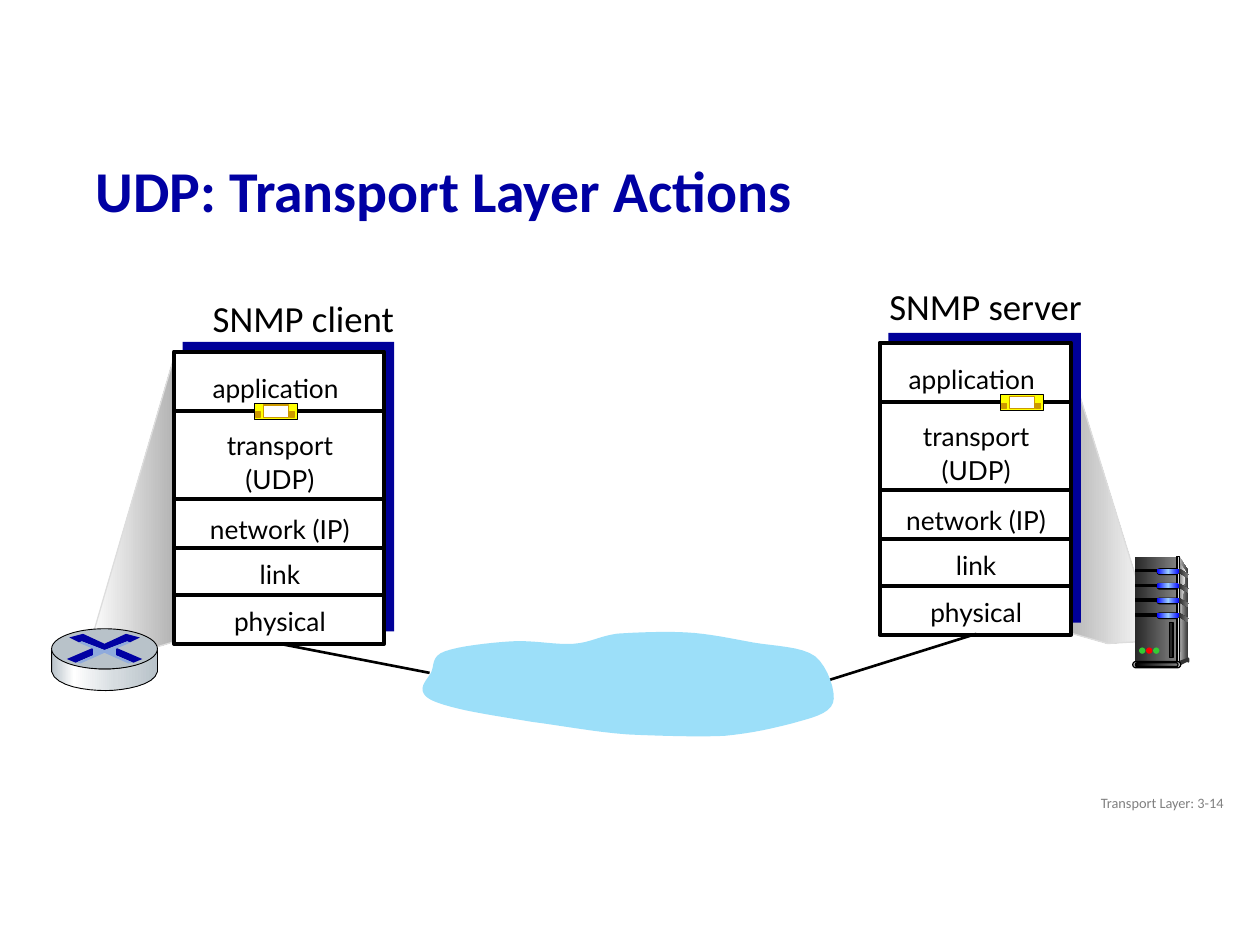
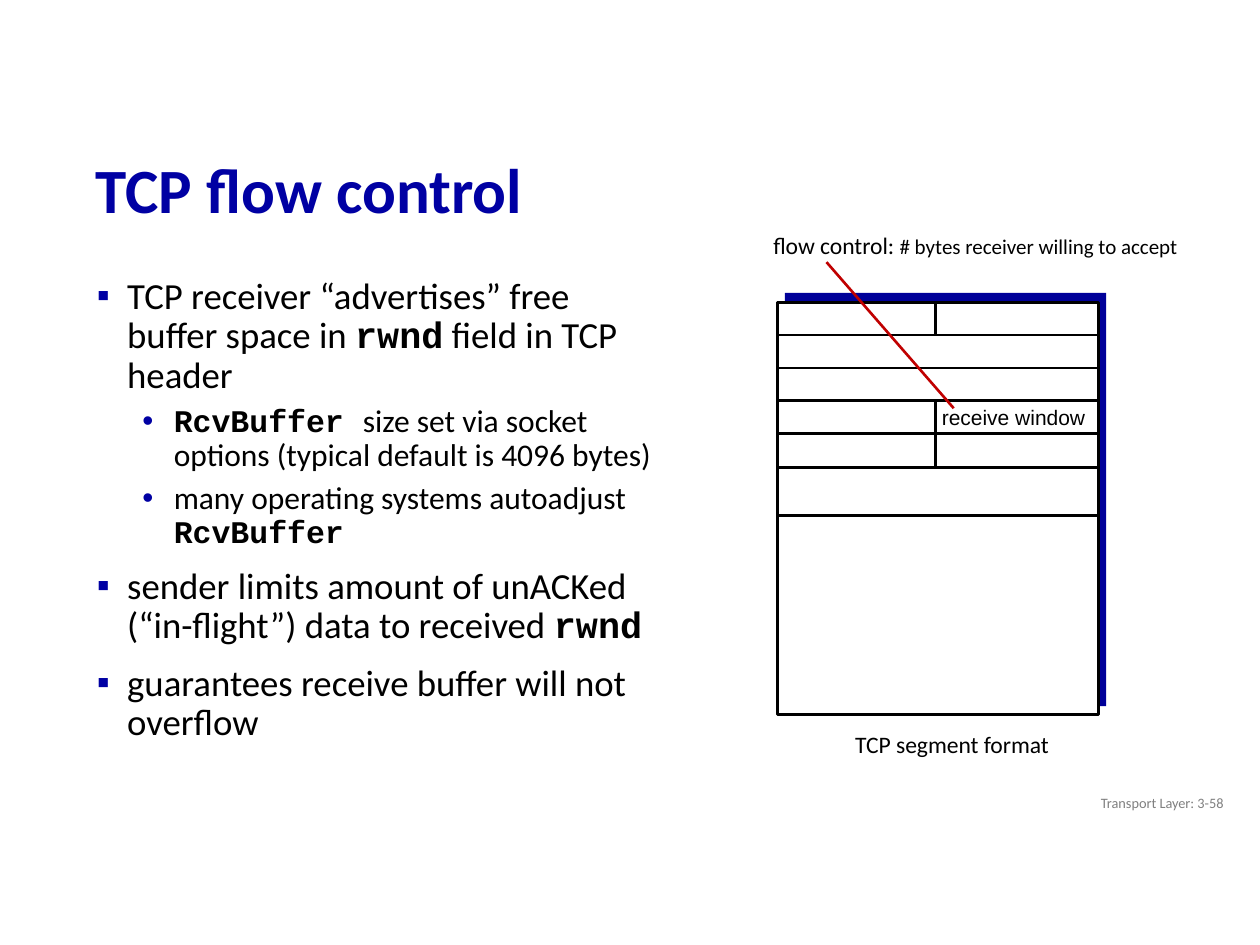
import dataclasses

import pptx
import pptx.dml.color
import pptx.enum.shapes
import pptx.enum.text
import pptx.oxml.ns
import pptx.util
from lxml import etree

Pt = pptx.util.Pt
Kind = pptx.enum.shapes.MSO_SHAPE
Align = pptx.enum.text.PP_ALIGN
Anchor = pptx.enum.text.MSO_ANCHOR
qn = pptx.oxml.ns.qn


def face(name, size, bold=False):
    return dict(name=name, size=Pt(size), bold=bold)


@dataclasses.dataclass(frozen=True)
class Theme:
    # Colours
    black: str = "000000"
    white: str = "FFFFFF"
    title: str = "0000A3"
    shade: str = "000099"
    foot: str = "808080"
    cloud: str = "9CDFF9"
    steel: str = "B8C2C9"
    cross: str = "8FAADC"
    edge: str = "DDDDDD"
    beam: str = "B2B2B2"
    dark: str = "292929"
    coal: str = "333333"
    grey: str = "808080"
    green: str = "33CC33"
    red: str = "FF0000"
    point: str = "C00000"
    yellow: str = "FFFF00"
    gold: str = "CC9900"
    blue: tuple = ((0, "0000FF"), (50, "99CCFF"), (100, "0000FF"))
    # Type
    label = face("Calibri", 21)
    layer = face("Lato", 15)
    body = face("Calibri", 21)
    code = face("Courier New", 21, True)
    sub = face("Calibri", 18)
    subcode = face("Courier New", 18, True)
    note = face("Calibri", 13.5)
    small = face("Calibri", 12)
    field = face("Arial", 12)
    footer = face("Calibri", 8.2)


T = Theme()
TITLE_BOX = (47.5, 84.2, 655, 52.6)
FOOT_BOX = (544.3, 447.8, 162, 21.6)

# Cloud outline: a pair is a line, six numbers are a curve
CLOUD = [
    (113, 1.4), (102.2, 2.9, 97.9, 6.5, 87.8, 7.2), (77.8, 7.9, 64.8, 5, 52.6, 5.8),
    (40.3, 6.5, 22.3, 8.6, 14.4, 11.5), (6.5, 14.4, 8.6, 19.4, 6.5, 23.8),
    (4.3, 27.4, 0, 31.7, 2.2, 35.3), (3.6, 38.2, 7.2, 40.3, 18, 43.2),
    (28.1, 46.1, 47.5, 49, 64.1, 51.8), (81.4, 54, 100.1, 57.6, 118.8, 59),
    (136.8, 59.8, 158.4, 60.5, 174.2, 59.8), (190.1, 58.3, 202.3, 55.4, 213.1, 52.6),
    (223.2, 49.7, 234, 47.5, 236.2, 41), (238.3, 35.3, 233.3, 20.2, 226.1, 14.4),
    (218.2, 8.6, 203, 8.6, 190.8, 6.5), (178.6, 4.3, 165.6, 1.4, 152.6, 0.7),
    (139.7, 0, 123.8, 0.7, 113, 1.4),
]


# Formatting
def apply(item, form):
    for key, value in form.items():
        setattr(item, key, value)


def rgb(code):
    return pptx.dml.color.RGBColor.from_string(code)


def paint(shape, fill, line=None, width=0.75):
    """Fill with one colour, or with (percent, colour) stops from left to right."""
    shape.shadow.inherit = False
    if isinstance(fill, str):
        shape.fill.solid()
        shape.fill.fore_color.rgb = rgb(fill)
    else:
        shape.fill.gradient()
        shape.fill.gradient_angle = 0
        stops = shape.element.spPr.find(".//" + qn("a:gsLst"))
        for old in list(stops):
            stops.remove(old)
        for place, code in fill:
            stop = etree.SubElement(stops, qn("a:gs"), pos=str(place * 1000))
            etree.SubElement(stop, qn("a:srgbClr"), val=code)
    if line:
        shape.line.color.rgb = rgb(line)
        shape.line.width = Pt(width)
    else:
        shape.line.fill.background()


def fade(first, last):
    return ((0, first), (100, last))


# Drawing tools
def block(slide, kind, box, fill, line=None, width=0.75):
    shape = slide.shapes.add_shape(kind, *map(Pt, box))
    if kind == Kind.ROUNDED_RECTANGLE:
        shape.adjustments[0] = 0.5
    paint(shape, fill, line, width)


def outline(slide, start, steps, fill, line=None, width=0.75):
    left, top = start
    dots = [steps[0]]
    for step in steps[1:]:
        if len(step) == 2:
            dots.append(step)
            continue
        ends = [dots[-1], step[:2], step[2:4], step[4:]]
        for i in range(1, 9):
            t = i / 8
            parts = ((1 - t) ** 3, 3 * t * (1 - t) ** 2, 3 * t * t * (1 - t), t ** 3)
            dots.append(tuple(sum(p * e[k] for p, e in zip(parts, ends)) for k in (0, 1)))
    dots = [(Pt(left + x), Pt(top + y)) for x, y in dots]
    pen = slide.shapes.build_freeform(*dots[0], scale=1.0)
    pen.add_line_segments(dots[1:], close=True)
    paint(pen.convert_to_shape(), fill, line, width)


def rule(slide, x1, y1, x2, y2, width=1.5, ink=T.black):
    line = slide.shapes.add_connector(
        pptx.enum.shapes.MSO_CONNECTOR.STRAIGHT, *map(Pt, (x1, y1, x2, y2)))
    line.line.color.rgb = rgb(ink)
    line.line.width = Pt(width)
    etree.SubElement(line.element.spPr, qn("a:effectLst"))


def fill_text(para, runs, ink, form):
    apply(para, form)
    for words, style in runs:
        run = para.add_run()
        run.text = words
        apply(run.font, style)
        run.font.color.rgb = rgb(ink)


def write(slide, box, paras, ink=T.black, frame=None, **form):
    """Each paragraph is a list of (words, style) runs."""
    text = slide.shapes.add_textbox(*map(Pt, box)).text_frame
    apply(text, {"word_wrap": True, **(frame or {})})
    for i, runs in enumerate(paras):
        para = text.add_paragraph() if i else text.paragraphs[0]
        fill_text(para, runs, ink, form)
    return text


def bullet(para, mark, left, hang):
    props = para._p.get_or_add_pPr()
    props.set("marL", str(Pt(left)))
    props.set("indent", str(Pt(-hang)))
    tint = etree.SubElement(props, qn("a:buClr"))
    etree.SubElement(tint, qn("a:srgbClr"), val=T.title)
    etree.SubElement(props, qn("a:buFont"), typeface="Arial")
    etree.SubElement(props, qn("a:buChar"), char=mark)


# Shared frame: title and footer
def new_slide(deck, title, size, page):
    slide = deck.slides.add_slide(deck.slide_layouts[5])
    head = slide.shapes.title
    apply(head, dict(zip(("left", "top", "width", "height"), map(Pt, TITLE_BOX))))
    apply(head.text_frame, dict(vertical_anchor=Anchor.MIDDLE, word_wrap=True,
                                auto_size=pptx.enum.text.MSO_AUTO_SIZE.NONE))
    fill_text(head.text_frame.paragraphs[0], [(title, face("Calibri", size, True))],
              T.title, dict(alignment=Align.LEFT, line_spacing=0.9))
    write(slide, FOOT_BOX, [[(f"Transport Layer: {page}", T.footer)]], T.foot,
          dict(vertical_anchor=Anchor.MIDDLE), alignment=Align.RIGHT)
    return slide


# Parts of the network slide
def beam(slide, box, flip):
    x, y, w, h = box
    parts = [(0, 0.99), (1, 0), (0.98, 0.96), (0.52, 1)]
    steps = [((1 - a if flip else a) * w, b * h) for a, b in parts]
    tint = fade(T.beam, T.white) if flip else fade(T.white, T.beam)
    outline(slide, (x, y), steps, tint, T.edge)


def stack(slide, box):
    x, y, w, h = box
    block(slide, Kind.RECTANGLE, (x + 5, y - 5.5, w + 0.7, h - 1.5), T.shade)
    block(slide, Kind.RECTANGLE, box, T.white, T.black, 2.25)
    for down in (34.2, 84.4, 112.2, 139):
        rule(slide, x + 1, y + down, x + w, y + down, 2.25)
    rows = [(-2, 6.5, ["application"]), (0.5, 38.9, ["transport", "(UDP)"]),
            (0.5, 87.1, ["network (IP)"]), (0.5, 113, ["link"]), (0.5, 139.7, ["physical"])]
    for shift, down, names in rows:
        write(slide, (x + shift, y + down, w, 7.2 + 20.1 * len(names)),
              [[(name, T.layer)] for name in names],
              alignment=Align.CENTER, line_spacing=1.1)


def packet(slide, x, y):
    block(slide, Kind.RECTANGLE, (x, y, 24.5, 9.4), T.yellow, T.black)
    block(slide, Kind.RECTANGLE, (x + 5, y + 1, 14.4, 7.2), T.white, T.gold)
    for right in (0.7, 20.2):
        block(slide, Kind.RECTANGLE, (x + right, y + 5, 2.9, 2.9), T.gold, T.gold)


def router(slide, x, y):
    wide = 60.5
    side = [(wide, 12.2), (wide, 24.5), (59, 32.4, 41, 35.3, 31, 35.3),
            (20.2, 35.3, 2.2, 33.1, 0, 24.5), (0, 12.2),
            (2.9, 19.4, 20.2, 23, 30.2, 23), (40.3, 23, 57.6, 20.2, wide, 12.2)]
    metal = ((0, T.steel), (21, T.white), (60, "D6DCE0"), (100, T.steel))
    outline(slide, (x, y), side, metal, T.black, 0.5)
    block(slide, Kind.OVAL, (x, y, wide, 23), T.steel, T.black, 0.5)
    # Each mark is symmetric: the left half mirrors the right
    top = [(30.2, 8.6), (42.5, 2.9), (50.4, 5), (44.6, 7.9), (43.2, 7.2), (30.2, 12.2)]
    arm = [(36.7, 10.8), (51.8, 17.3), (46.8, 19.4), (36.7, 15.1)]
    core = [(30.2, 12.2), (43.2, 7.2), (45, 7.9), (36.7, 11.5), (36.7, 15.1),
            (46.1, 19.2), (43.9, 19.8), (30.2, 13.7)]

    def mirror(dots):
        return [(wide - a, b) for a, b in reversed(dots)]

    for steps, tint in ((top + mirror(top), T.title), (arm, T.title),
                        (mirror(arm), T.title), (core + mirror(core), T.cross)):
        outline(slide, (x, y), steps, tint)


def server(slide, x, y):
    def bar(kind, left, top, w, h, fill, line=None):
        block(slide, kind, (x + left, y + top, w, h), fill, line)

    box, pill, dot = Kind.RECTANGLE, Kind.ROUNDED_RECTANGLE, Kind.OVAL
    dusk = fade(T.dark, T.grey)
    # Case
    outline(slide, (x, y), [(26.6, 0), (31.7, 7.9), (31.7, 57.6), (25.2, 60.5)],
            fade(T.edge, T.coal))
    bar(box, 1.4, 0, 23.8, 60.5, dusk)
    outline(slide, (x, y), [(26.6, 3.6), (26.6, 3.6, 27.4, 4.3, 30.2, 8.6),
                            (26.6, 31, 27.4, 59.8, 26.6, 59)], fade(T.grey, "F8F8F8"))
    bar(box, 25.2, 0, 1.4, 60.5, ((0, T.coal), (50, T.edge), (100, T.coal)), T.black)
    # Drives with their side vents
    for i in range(4):
        top = 7.2 + 8.4 * i
        bar(box, 1.4, top, 13.7, 1.4, T.black, T.black)
        bar(pill, 13.5, top - 0.7, 13, 3.9, T.black)
        bar(pill, 13.7, top - 0.5, 13, 2.9, T.blue)
        outline(slide, (x + 26.4, y + top - 0.7),
                [(0, 0), (0.7, 0.7, 2.5, 1.8, 5.6, 3.4), (5.3, 5.6),
                 (5.3, 5.6, 2.7, 4.2, 0, 2.6)], dusk)
    # Base and lights
    bar(dot, 31, 57.6, 1.4, 2.9, T.coal)
    outline(slide, (x, y), [(25.9, 59.8), (25.9, 62.6), (31.7, 59.8), (31.7, 57.6)], T.coal)
    bar(pill, 0, 59.8, 27.4, 3.6, T.edge, T.black)
    bar(pill, 1.4, 60.5, 24.5, 2.2, fade(T.black, T.grey), T.black)
    for i, tint in enumerate((T.green, T.red, T.green)):
        bar(dot, 3.6 + 4 * i, 51.8, 3.6, 3.6, tint)
    bar(box, 20.9, 37.4, 2.2, 20.2, T.dark, T.black)


def net_slide(deck):
    slide = new_slide(deck, "UDP: Transport Layer Actions", 33, "3-14")
    beam(slide, (607.7, 195.8, 52.6, 172), True)
    server(slide, 647.3, 318.2)
    for box, words in (((501.1, 158.4, 126, 32.4), "SNMP server"),
                       ((114.5, 165.6, 119.5, 32.4), "SNMP client")):
        write(slide, box, [[(words, T.label)]], frame=dict(word_wrap=False))
    stack(slide, (502.6, 195.8, 109.4, 167))
    rule(slide, 558, 362.2, 470.9, 389.5)
    rule(slide, 152.6, 366.5, 245.5, 384.5)
    outline(slide, (239.8, 360.7), CLOUD, T.cloud)
    beam(slide, (50.4, 200.9, 50, 172.8), False)
    stack(slide, (99.4, 200.9, 120.2, 167))
    router(slide, 29.5, 359.3)
    packet(slide, 145.4, 230.4)
    packet(slide, 571.7, 225.4)


# Parts of the flow control slide
def points(slide, box):
    items = [
        (0, [("TCP receiver “advertises” free buffer space in ", T.body), ("rwnd", T.code),
             (" field in TCP header", T.body)]),
        (1, [("RcvBuffer ", T.subcode),
             ("size set via socket options (typical default is 4096 bytes)", T.sub)]),
        (1, [("many operating systems autoadjust ", T.sub), ("RcvBuffer", T.subcode)]),
        (0, [("sender limits amount of unACKed (“in-flight”) data to received ", T.body),
             ("rwnd", T.code)]),
        (0, [("guarantees receive buffer will not overflow", T.body)]),
    ]
    inset = dict(margin_left=Pt(5), margin_right=Pt(5), margin_top=Pt(3), margin_bottom=Pt(3))
    text = write(slide, box, [runs for _, runs in items], frame=inset, line_spacing=0.9)
    levels = [(10, "▪", 28.1, 17.3), (5, "•", 54.7, 18)]
    for para, (level, _) in zip(text.paragraphs, items):
        gap, *mark = levels[level]
        apply(para, dict(level=level, space_before=Pt(gap)))
        bullet(para, *mark)


def segment(slide, box):
    x, y, w, h = box
    row, mid = 18.7, x + 90.4
    write(slide, (x - 9.4, y - 42.5, 257, 22.3),
          [[("flow control: ", T.note), ("# bytes receiver willing to accept", T.small)]],
          line_spacing=0.9)
    block(slide, Kind.RECTANGLE, (x + 4.3, y - 5.4, w, h + 0.7), T.shade)
    block(slide, Kind.RECTANGLE, box, T.white, T.black, 1.5)
    for down in (row, 2 * row, 3 * row, 4 * row, 94.3, 121.7):
        rule(slide, x, y + down, x + w, y + down)
    for top, end in ((0, row), (3 * row, 94.3)):
        rule(slide, mid, y + top, mid, y + end)
    write(slide, (x + 86.4, y + 54.7, 97.2, 21.6), [[("receive window", T.field)]],
          frame=dict(word_wrap=False), alignment=Align.CENTER)
    rule(slide, x + 100.8, y + 60.5, x + 28.1, y - 23, ink=T.point)
    write(slide, (x + 37.4, y + 242.6, 136, 22.3), [[("TCP segment format", T.note)]],
          line_spacing=0.9)


def flow_slide(deck):
    slide = new_slide(deck, "TCP flow control", 36, "3-58")
    points(slide, (39.6, 155.5, 344.2, 289.4))
    segment(slide, (444.2, 172.8, 183.6, 235.4))


def main():
    deck = pptx.Presentation()
    apply(deck, dict(slide_width=Pt(720), slide_height=Pt(540)))
    net_slide(deck)
    flow_slide(deck)
    deck.save("out.pptx")


if __name__ == "__main__":
    main()
